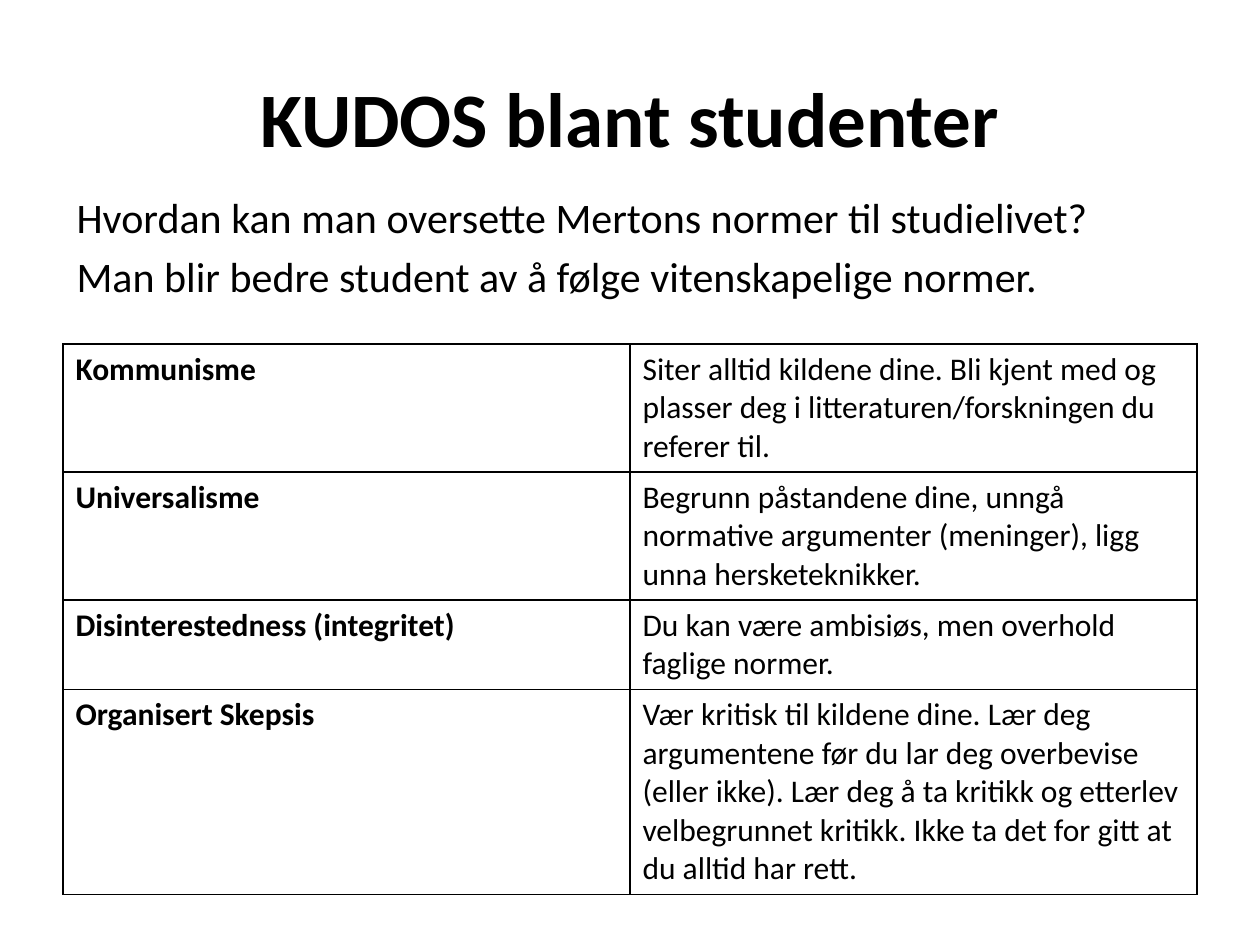
from lxml.etree import fromstring
from pptx import Presentation
from pptx.dml.color import RGBColor
from pptx.enum.text import MSO_ANCHOR, PP_ALIGN
from pptx.oxml.ns import nsdecls
from pptx.util import Inches, Pt

THEME = {
    "font": "Calibri",
    "ink": "000000",
    "title": Pt(44),
    "intro": Pt(24),
    "cell": Pt(18),
    "border": Pt(1),
}
INTRO = [
    "Hvordan kan man oversette Mertons normer til studielivet?",
    "Man blir bedre student av å følge vitenskapelige normer.",
]
NORMS = [
    ("Kommunisme",
     "Siter alltid kildene dine. Bli kjent med og plasser deg i "
     "litteraturen/forskningen du referer til."),
    ("Universalisme",
     "Begrunn påstandene dine, unngå normative argumenter (meninger), "
     "ligg unna hersketeknikker."),
    ("Disinterestedness (integritet)",
     "Du kan være ambisiøs, men overhold faglige normer."),
    ("Organisert Skepsis",
     "Vær kritisk til kildene dine. Lær deg argumentene før du lar deg "
     "overbevise (eller ikke). Lær deg å ta kritikk og etterlev "
     "velbegrunnet kritikk. Ikke ta det for gitt at du alltid har rett."),
]


def write(paragraph, text, size, bold=False, **layout):
    """Fill a paragraph with one styled run and apply its layout values."""
    run = paragraph.add_run()
    run.text = text
    for name, value in {"name": THEME["font"], "size": size, "bold": bold}.items():
        setattr(run.font, name, value)
    run.font.color.rgb = RGBColor.from_string(THEME["ink"])
    for name, value in layout.items():
        setattr(paragraph, name, value)


def outline(cell):
    """Draw the four borders of a table cell."""
    properties = cell._tc.get_or_add_tcPr()
    for position, side in enumerate(("lnL", "lnR", "lnT", "lnB")):
        properties.insert(position, fromstring(
            f'<a:{side} {nsdecls("a")} w="{THEME["border"]}"><a:solidFill>'
            f'<a:srgbClr val="{THEME["ink"]}"/></a:solidFill></a:{side}>'))


deck = Presentation()
deck.slide_width, deck.slide_height = Inches(10), Inches(7.5)
slide = deck.slides.add_slide(deck.slide_layouts[5])

heading = slide.shapes.title
title_box = {"left": Inches(0.5), "top": Inches(0.3),
             "width": Inches(9), "height": Inches(1.25)}
for name, value in title_box.items():
    setattr(heading, name, value)
heading.text_frame.vertical_anchor = MSO_ANCHOR.MIDDLE
write(heading.text_frame.paragraphs[0], "KUDOS blant studenter",
      THEME["title"], bold=True, alignment=PP_ALIGN.CENTER)

norms = slide.shapes.add_table(len(NORMS), 2, Inches(0.5), Inches(2.73),
                               Inches(9), Inches(0.41 * len(NORMS))).table
for name in ("first_row", "horz_banding"):
    setattr(norms, name, False)
for row, advice in zip(norms.rows, NORMS):
    for column, (cell, text) in enumerate(zip(row.cells, advice)):
        cell.fill.background()
        outline(cell)
        write(cell.text_frame.paragraphs[0], text, THEME["cell"], bold=column == 0)

intro = slide.shapes.add_textbox(Inches(0.51), Inches(1.47),
                                 Inches(9), Inches(1.81)).text_frame
intro.word_wrap = True
for index, sentence in enumerate(INTRO):
    paragraph = intro.add_paragraph() if index else intro.paragraphs[0]
    write(paragraph, sentence, THEME["intro"],
          alignment=PP_ALIGN.JUSTIFY, space_before=Pt(4.8))

deck.save("out.pptx")
